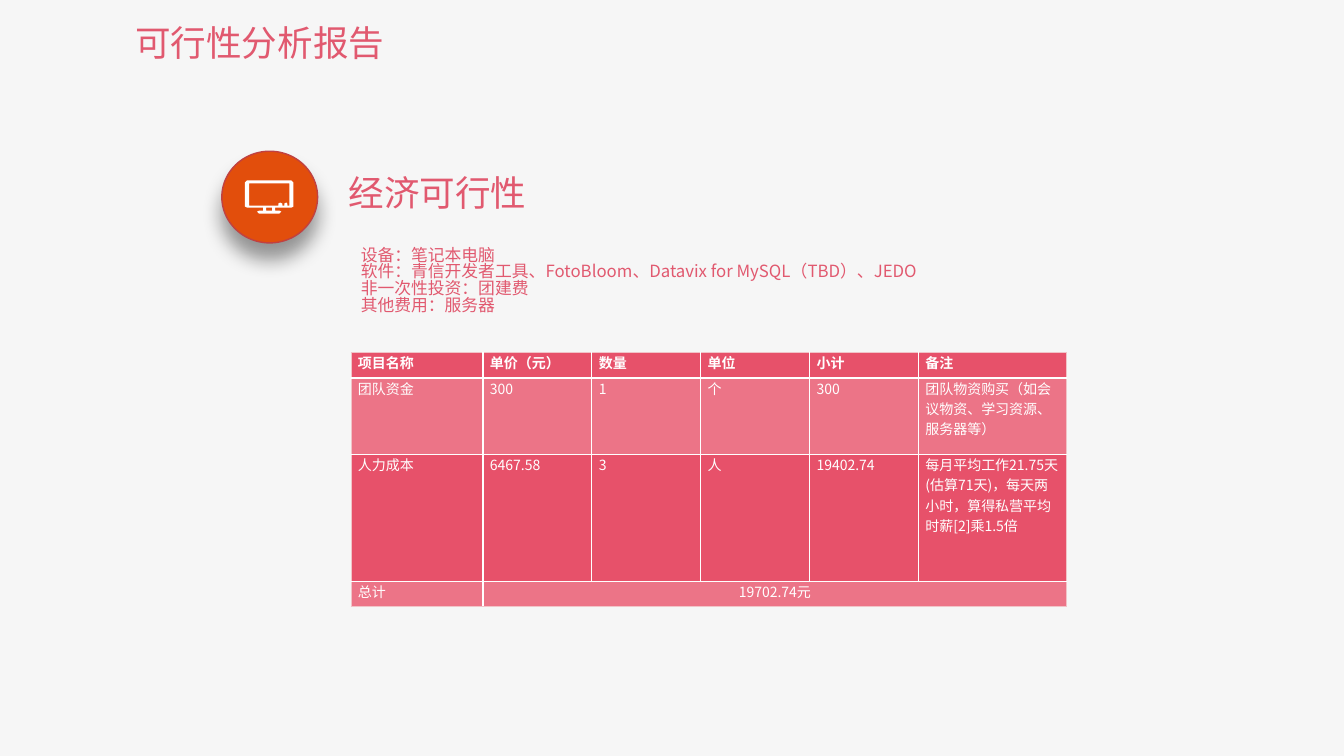
from pptx import Presentation
from pptx.dml.color import RGBColor
from pptx.enum.shapes import MSO_SHAPE
from pptx.enum.text import MSO_ANCHOR, PP_ALIGN
from pptx.oxml import parse_xml
from pptx.oxml.ns import nsdecls, qn
from pptx.util import Inches, Pt

OVAL = MSO_SHAPE.OVAL
TOP = MSO_ANCHOR.TOP
LEFT, CENTER = PP_ALIGN.LEFT, PP_ALIGN.CENTER

THEME = {
    "font": "Noto Sans CJK SC",
    "page": "F6F6F6", "text": "E1596F", "white": "FFFFFF",
    "row": "E7516A", "band": "EC7487", "edge": "F1C4C8",
    "badge": "E24E0C", "badge_line": "C04141",
    "heading": 25.4, "body": 12, "cell": 10,
}

TITLE = "可行性分析报告"
SECTION = "经济可行性"
COSTS = [
    "设备：笔记本电脑",
    "软件：青信开发者工具、FotoBloom、Datavix for MySQL（TBD）、JEDO",
    "非一次性投资：团建费",
    "其他费用：服务器",
]
BUDGET = [
    ["项目名称", "单价（元）", "数量", "单位", "小计", "备注"],
    ["团队资金", "300", "1", "个", "300", "团队物资购买（如会议物资、学习资源、服务器等）"],
    ["人力成本", "6467.58", "3", "人", "19402.74",
     "每月平均工作21.75天(估算71天)，每天两小时，算得私营平均时薪[2]乘1.5倍"],
    ["总计", "19702.74元", "", "", "", ""],
]
COL_WIDTHS = [1.31, 1.08, 1.08, 1.08, 1.08, 1.47]
ROW_HEIGHTS = [0.25, 0.76, 1.26, 0.25]

MONITOR = [
    [(289, 179), (245, 179), (243, 181), (243, 205), (245, 206), (261, 206),
     (261, 209), (257, 209), (255, 210), (257, 212), (277, 212), (279, 210),
     (277, 209), (273, 209), (273, 206), (289, 206), (291, 205), (291, 181)],
    [(270, 209), (264, 209), (264, 206), (270, 206)],
    [(287, 204), (285, 204), (285, 202), (284, 201), (282, 202), (282, 204),
     (280, 204), (280, 202), (278, 201), (276, 202), (276, 204), (247, 204),
     (247, 182), (287, 182)],
]


def rgb(name):
    return RGBColor.from_string(THEME[name])


def write(tf, lines, size, color, bold=False, align=LEFT, spacing=None):
    for i, line in enumerate(lines):
        p = tf.paragraphs[0] if i == 0 else tf.add_paragraph()
        for key, value in {"alignment": align, "line_spacing": spacing,
                           "space_before": Pt(0)}.items():
            setattr(p, key, value)
        r = p.add_run()
        r.text = line
        for key, value in {"name": THEME["font"], "size": Pt(THEME[size]), "bold": bold}.items():
            setattr(r.font, key, value)
        r.font.color.rgb = rgb(color)
        r.font._element.find(qn("a:latin")).addnext(
            parse_xml(f'<a:ea {nsdecls("a")} typeface="{THEME["font"]}"/>'))


def place(sp, left, top, width, height):
    for key, value in {"left": left, "top": top, "width": width, "height": height}.items():
        setattr(sp, key, Inches(value))
    tf = sp.text_frame
    for key, value in {"word_wrap": True, "vertical_anchor": TOP,
                       "margin_left": Inches(0.1), "margin_right": Inches(0.1),
                       "margin_top": Inches(0.05), "margin_bottom": Inches(0.05)}.items():
        setattr(tf, key, value)
    return tf


def border(cell, sides):
    for i, (side, (color, width)) in enumerate(sides.items()):
        cell._tc.get_or_add_tcPr().insert(i, parse_xml(
            f'<a:ln{side} {nsdecls("a")} w="{Pt(width)}"><a:solidFill>'
            f'<a:srgbClr val="{THEME[color]}"/></a:solidFill></a:ln{side}>'))


def add_budget(slide):
    rows, cols = len(BUDGET), len(COL_WIDTHS)
    table = slide.shapes.add_table(
        rows, cols, Inches(3.48), Inches(3.5),
        Inches(sum(COL_WIDTHS)), Inches(sum(ROW_HEIGHTS))).table
    for column, width in zip(table.columns, COL_WIDTHS):
        column.width = Inches(width)
    for row, height in zip(table.rows, ROW_HEIGHTS):
        row.height = Inches(height)
    edge = ("edge", 0.5)
    last_row, last_col = rows - 1, cols - 1
    for y, record in enumerate(BUDGET):
        for x, value in enumerate(record):
            cell = table.cell(y, x)
            for key, margin in {"margin_left": 0.07, "margin_right": 0.07,
                                "margin_top": 0, "margin_bottom": 0}.items():
                setattr(cell, key, Inches(margin))
            cell.fill.solid()
            cell.fill.fore_color.rgb = rgb("band" if y % 2 else "row")
            if value:
                align = CENTER if (y, x) == (last_row, 1) else LEFT
                write(cell.text_frame, [value], "cell", "white", y == 0, align)
            sides = {}
            if x == 0:
                sides["L"] = edge
            if x == last_col or (y, x) == (last_row, 1):
                sides["R"] = edge
            if y == 0:
                sides["T"] = edge
                if x < last_col:
                    sides["B"] = ("white", 1.5)
            if y == last_row:
                sides["B"] = edge
            border(cell, sides)
    table.cell(last_row, 1).merge(table.cell(last_row, last_col))


def add_badge(slide):
    sp = slide.shapes.add_shape(OVAL, Inches(2.2), Inches(1.5), Inches(0.95), Inches(0.91))
    sp.fill.solid()
    sp.fill.fore_color.rgb = rgb("badge")
    sp.line.color.rgb = rgb("badge_line")
    sp.line.width = Pt(1)
    sp._element.spPr.append(parse_xml(
        f'<a:effectLst {nsdecls("a")}><a:outerShdw blurRad="{Pt(14)}" dist="{Pt(12)}" '
        'dir="5400000" algn="t" rotWithShape="0"><a:srgbClr val="000000">'
        '<a:alpha val="40000"/></a:srgbClr></a:outerShdw></a:effectLst>'))

    builder = slide.shapes.build_freeform(*MONITOR[0][0], scale=Inches(0.01))
    for i, outline in enumerate(MONITOR):
        if i:
            builder.move_to(*outline[0])
        builder.add_line_segments(outline[1:], close=True)
    icon = builder.convert_to_shape()
    icon.shadow.inherit = False
    icon.fill.solid()
    icon.fill.fore_color.rgb = rgb("white")
    icon.line.fill.background()


def main():
    prs = Presentation()
    prs.slide_width, prs.slide_height = Inches(13.33), Inches(7.5)
    slide = prs.slides.add_slide(prs.slide_layouts[5])
    slide.background.fill.solid()
    slide.background.fill.fore_color.rgb = rgb("page")

    title = place(slide.shapes.title, 1.24, 0.21, 3.83, 0.53)
    write(title, [TITLE], "heading", "text", spacing=0.88)
    for lines, size, spacing, box in [
        ([SECTION], "heading", 0.88, (3.36, 1.7, 3.83, 0.53)),
        (COSTS, "body", 0.83, (3.48, 2.41, 6.87, 0.91)),
    ]:
        sp = slide.shapes.add_textbox(0, 0, 0, 0)
        write(place(sp, *box), lines, size, "text", spacing=spacing)

    add_budget(slide)
    add_badge(slide)
    prs.save("out.pptx")


if __name__ == "__main__":
    main()
